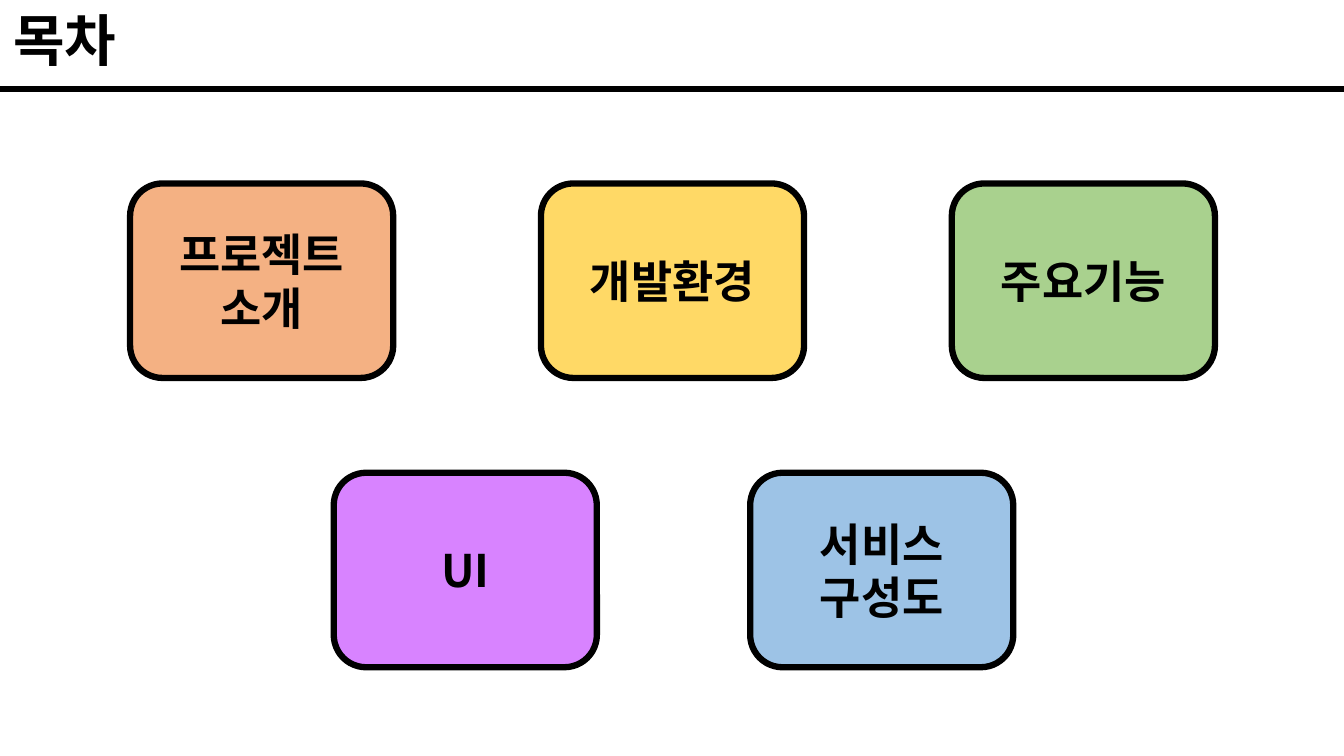
from lxml import etree
from pptx import Presentation
from pptx.dml.color import RGBColor
from pptx.enum.shapes import MSO_CONNECTOR, MSO_SHAPE
from pptx.enum.text import MSO_ANCHOR, MSO_AUTO_SIZE, PP_ALIGN
from pptx.oxml.ns import qn
from pptx.util import Inches, Pt

# Content
TITLE = "목차"
ROWS = [
    {"left": 1.29, "top": 1.82, "pitch": 4.075, "topics": [
        (["프로젝트", "소개"], "orange"),
        (["개발환경"], "yellow"),
        (["주요기능"], "green"),
    ]},
    {"left": 3.31, "top": 4.69, "pitch": 4.13, "topics": [
        (["UI"], "purple"),
        (["서비스", "구성도"], "blue"),
    ]},
]

# Style
FONT = "Noto Sans CJK KR"
COLORS = {
    "black": "000000", "orange": "F4B183", "yellow": "FFD966",
    "green": "A9D18E", "purple": "D883FF", "blue": "9DC3E6",
}
SLIDE_WIDTH, SLIDE_HEIGHT = 13.33, 7.5
CARD_WIDTH, CARD_HEIGHT = 2.61, 1.93
RULE_TOP = 0.88
LINE_WIDTH = 4.5


def color(name):
    return RGBColor.from_string(COLORS[name])


def add_text(paragraph, text, size, alignment):
    paragraph.alignment = alignment
    run = paragraph.add_run()
    run.text = text
    font = run.font
    font.size, font.bold, font.name = Pt(size), True, FONT
    font.color.rgb = color("black")
    # Korean glyphs take the East Asian typeface
    east_asian = etree.SubElement(run._r.get_or_add_rPr(), qn("a:ea"))
    east_asian.set("typeface", FONT)


def style_line(line):
    line.color.rgb = color("black")
    line.width = Pt(LINE_WIDTH)


def add_card(slide, left, top, lines, fill):
    card = slide.shapes.add_shape(
        MSO_SHAPE.ROUNDED_RECTANGLE, Inches(left), Inches(top),
        Inches(CARD_WIDTH), Inches(CARD_HEIGHT))
    card.shadow.inherit = False
    card.fill.solid()
    card.fill.fore_color.rgb = color(fill)
    style_line(card.line)
    frame = card.text_frame
    frame.vertical_anchor = MSO_ANCHOR.MIDDLE
    for index, text in enumerate(lines):
        paragraph = frame.add_paragraph() if index else frame.paragraphs[0]
        add_text(paragraph, text, 32, PP_ALIGN.CENTER)


def main():
    presentation = Presentation()
    presentation.slide_width = Inches(SLIDE_WIDTH)
    presentation.slide_height = Inches(SLIDE_HEIGHT)
    slide = presentation.slides.add_slide(presentation.slide_layouts[5])

    # Title
    title = slide.shapes.title
    title.left, title.top = Inches(0.03), Inches(0)
    title.width, title.height = Inches(1.26), Inches(0.77)
    frame = title.text_frame
    frame.word_wrap = False
    frame.auto_size = MSO_AUTO_SIZE.SHAPE_TO_FIT_TEXT
    frame.vertical_anchor = MSO_ANCHOR.TOP
    add_text(frame.paragraphs[0], TITLE, 40, PP_ALIGN.LEFT)

    # Rule under the title
    rule = slide.shapes.add_connector(
        MSO_CONNECTOR.STRAIGHT, Inches(0), Inches(RULE_TOP),
        Inches(SLIDE_WIDTH), Inches(RULE_TOP))
    style_line(rule.line)
    etree.SubElement(rule._element.spPr, qn("a:effectLst"))

    # Topic cards
    for row in ROWS:
        for column, (lines, fill) in enumerate(row["topics"]):
            left = row["left"] + column * row["pitch"]
            add_card(slide, left, row["top"], lines, fill)

    presentation.save("out.pptx")


if __name__ == "__main__":
    main()
